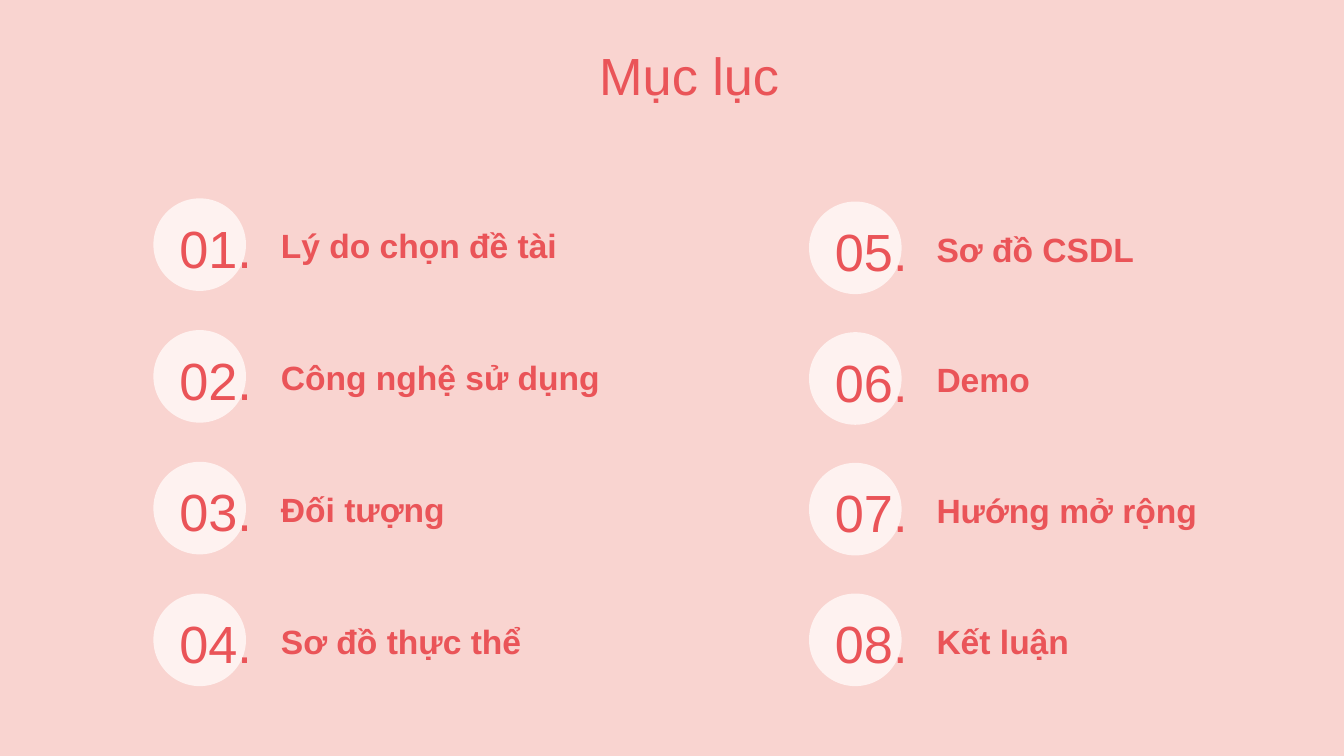
from pptx import Presentation
from pptx.dml.color import RGBColor
from pptx.enum.shapes import MSO_SHAPE
from pptx.enum.text import MSO_ANCHOR, MSO_AUTO_SIZE, PP_ALIGN
from pptx.util import Cm, Pt

RECTANGLE, OVAL = MSO_SHAPE.RECTANGLE, MSO_SHAPE.OVAL
LEFT, CENTER, RIGHT = PP_ALIGN.LEFT, PP_ALIGN.CENTER, PP_ALIGN.RIGHT
MIDDLE = MSO_ANCHOR.MIDDLE
GROW = MSO_AUTO_SIZE.SHAPE_TO_FIT_TEXT

CORAL = RGBColor(0xEA, 0x54, 0x58)
PINK = RGBColor(0xF9, 0xD4, 0xD0)
CREAM = RGBColor(0xFE, 0xF2, 0xF0)

FONT = "Arial"
INSET = 0.25
CIRCLE = 1.75
TEXT_HEIGHT = 1.42

# Left edge, top and row pitch in cm, first number, entries
COLUMNS = [
    (2.9, 3.75, 2.49, 1,
     ["Lý do chọn đề tài", "Công nghệ sử dụng", "Đối tượng", "Sơ đồ thực thể"]),
    (15.29, 3.81, 2.47, 5,
     ["Sơ đồ CSDL", "Demo", "Hướng mở rộng", "Kết luận"]),
]


def add_plain_shape(shapes, kind, x, y, w, h, color):
    sp = shapes.add_shape(kind, Cm(x), Cm(y), Cm(w), Cm(h))
    sp.shadow.inherit = False
    sp.fill.solid()
    sp.fill.fore_color.rgb = color
    sp.line.fill.background()


def add_text(shapes, x, y, w, h, text, size, align, bold=False):
    """Add a one-line text box and return its text frame."""
    tf = shapes.add_textbox(Cm(x), Cm(y), Cm(w), Cm(h)).text_frame
    tf.word_wrap = True
    p = tf.paragraphs[0]
    p.alignment = align
    r = p.add_run()
    r.text = text
    r.font.name = FONT
    r.font.size = Pt(size)
    r.font.bold = bold
    r.font.color.rgb = CORAL
    return tf


def center_vertically(tf):
    tf.vertical_anchor = MIDDLE
    tf.margin_left = tf.margin_right = Cm(INSET)
    tf.margin_top = tf.margin_bottom = Cm(INSET)


def add_entry(slide, x, y, number, label):
    """Group a circle with its number and label; x, y is the circle's corner."""
    shapes = slide.shapes.add_group_shape().shapes
    add_plain_shape(shapes, OVAL, x, y, CIRCLE, CIRCLE, CREAM)
    center_vertically(add_text(shapes, x + 2.16, y + 0.18, 9.19, TEXT_HEIGHT,
                               label, 18, LEFT, bold=True))
    center_vertically(add_text(shapes, x - 0.53, y + 0.22, 2.64, TEXT_HEIGHT,
                               f"{number:02d}.", 28, RIGHT))


def main():
    prs = Presentation()
    prs.slide_width, prs.slide_height = Cm(25.4), Cm(14.29)
    slide = prs.slides.add_slide(prs.slide_layouts[6])
    slide.background.fill.solid()
    slide.background.fill.fore_color.rgb = CREAM

    add_plain_shape(slide.shapes, RECTANGLE, -0.2, -0.45, 25.85, 15, PINK)
    title = add_text(slide.shapes, 8.3, 0.69, 9.45, 1.45, "Mục lục", 28, CENTER)
    title.auto_size = GROW

    for x, top, pitch, first, labels in COLUMNS:
        for row, label in enumerate(labels):
            add_entry(slide, x, top + row * pitch, first + row, label)

    prs.save("out.pptx")


if __name__ == "__main__":
    main()
